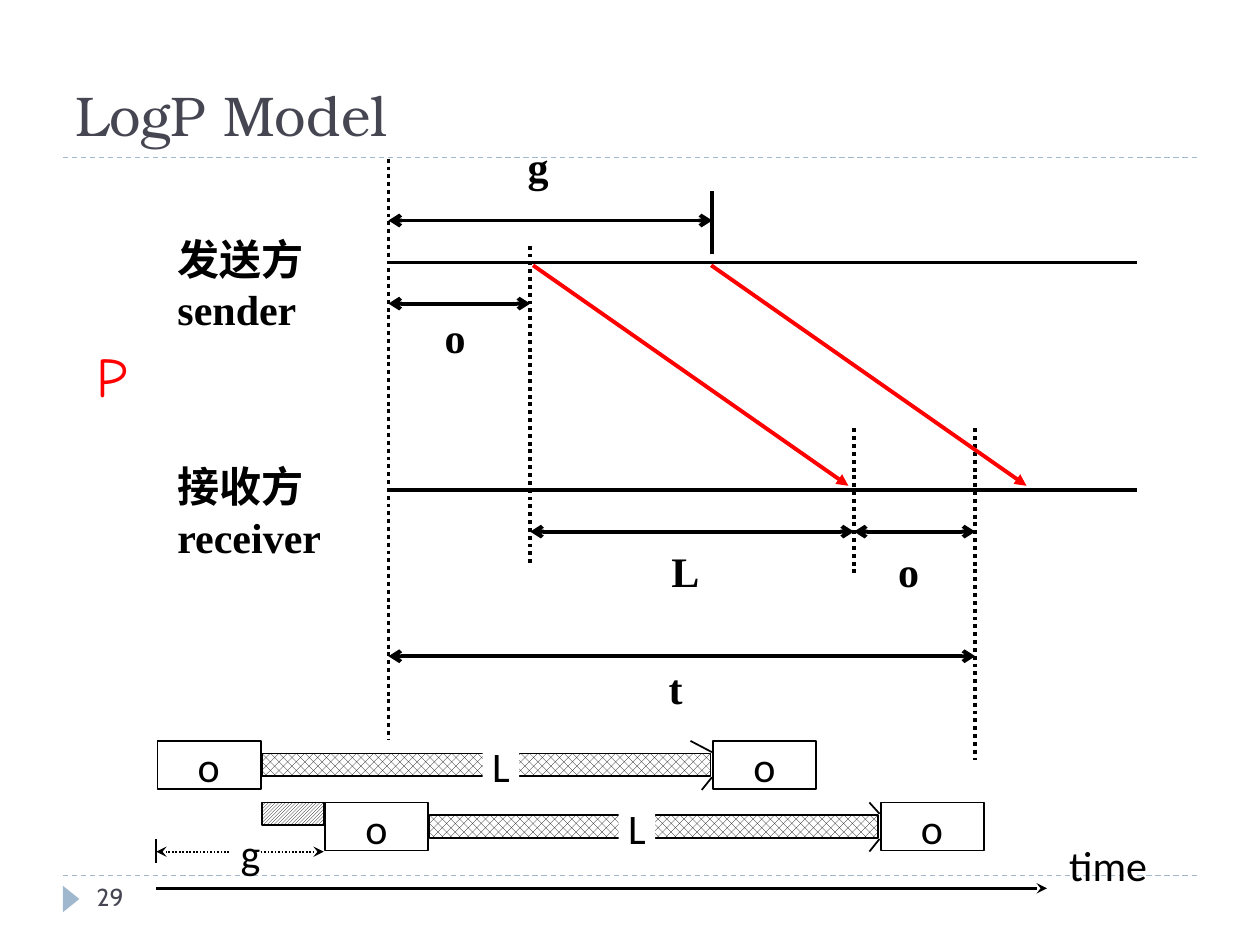
"""Builds the LogP model slide with its message timing diagram."""
from lxml import etree
from pptx import Presentation
from pptx.dml import color
from pptx.enum import dml, shapes, text
from pptx.oxml import ns
from pptx.util import Pt

INK, SLATE, ACCENT, RED, WHITE = "000000", "464653", "9FB8CD", "FF0000", "FFFFFF"
SERIF, SANS = "Times New Roman", "Calibri"
DOT, DASH = dml.MSO_LINE.ROUND_DOT, dml.MSO_LINE.DASH
LATTICE = dml.MSO_PATTERN.PERCENT_50
DIAGONAL = dml.MSO_PATTERN.LIGHT_UPWARD_DIAGONAL


def rgb(value):
    return color.RGBColor.from_string(value)


class Diagram:
    def __init__(self, slide):
        self.slide = slide

    def wording(self, frame, lines, size, face, ink, bold=False, align=None, before=0, spacing=None):
        for index, line in enumerate(lines):
            paragraph = frame.add_paragraph() if index else frame.paragraphs[0]
            paragraph.alignment = align
            paragraph.space_before = Pt(before)
            if spacing:
                paragraph.line_spacing = spacing
            run = paragraph.add_run()
            run.text = line
            run.font.size, run.font.name, run.font.bold = Pt(size), face, bold
            run.font.color.rgb = rgb(ink)

    def title(self, heading):
        title = self.slide.shapes.title
        title.left, title.top, title.width, title.height = Pt(36), Pt(-2), Pt(553), Pt(90)
        frame = title.text_frame
        frame.auto_size = text.MSO_AUTO_SIZE.NONE
        frame.vertical_anchor = text.MSO_ANCHOR.BOTTOM
        self.wording(frame, [heading], 32, "TeX Gyre Bonum", SLATE, align=text.PP_ALIGN.LEFT)

    def label(self, x, y, width, height, lines, size=24, face=SERIF, ink=INK, **style):
        label = self.slide.shapes.add_textbox(Pt(x), Pt(y), Pt(width), Pt(height))
        frame = label.text_frame
        frame.word_wrap = False
        frame.auto_size = text.MSO_AUTO_SIZE.SHAPE_TO_FIT_TEXT
        self.wording(frame, lines, size, face, ink, **style)
        return label

    def symbol(self, x, y, name, width=20.9, height=25.9, spacing=0.85, fill=None):
        symbol = self.label(x, y, width, height, [name], face=SANS, before=4.8,
                            align=text.PP_ALIGN.CENTER, spacing=spacing)
        frame = symbol.text_frame
        frame.margin_left = frame.margin_right = Pt(5)
        frame.margin_top = frame.margin_bottom = Pt(2.2)
        if fill:
            symbol.fill.solid()
            symbol.fill.fore_color.rgb = rgb(fill)

    def block(self, x, y, width, height, pattern=None):
        block = self.slide.shapes.add_shape(
            shapes.MSO_SHAPE.RECTANGLE, Pt(x), Pt(y), Pt(width), Pt(height))
        block.shadow.inherit = False
        if pattern is None:
            block.fill.background()
        else:
            block.fill.patterned()
            block.fill.pattern = pattern
            block.fill.fore_color.rgb, block.fill.back_color.rgb = rgb(INK), rgb(WHITE)
        block.line.color.rgb, block.line.width = rgb(INK), Pt(1)

    def marker(self, x, y, width, height):
        marker = self.slide.shapes.add_shape(
            shapes.MSO_SHAPE.ISOSCELES_TRIANGLE, Pt(x), Pt(y), Pt(width), Pt(height))
        marker.shadow.inherit = False
        marker.rotation = 90
        marker.fill.solid()
        marker.fill.fore_color.rgb = rgb(ACCENT)
        marker.line.fill.background()

    def line(self, x1, y1, x2, y2, ink=INK, width=2.25, dash=None, head=None, tail=None):
        line = self.slide.shapes.add_connector(
            shapes.MSO_CONNECTOR.STRAIGHT, Pt(x1), Pt(y1), Pt(x2), Pt(y2))
        line.line.color.rgb, line.line.width = rgb(ink), Pt(width)
        if dash:
            line.line.dash_style = dash
        properties = line.element.spPr
        for end, kind in (("a:headEnd", head), ("a:tailEnd", tail)):
            if kind:
                etree.SubElement(properties.find(ns.qn("a:ln")), ns.qn(end), type=kind)
        etree.SubElement(properties, ns.qn("a:effectLst"))

    def span(self, x1, x2, y):
        self.line(x1, y, x2, y, head="arrow", tail="arrow")

    def message(self, x, y, latency_x, barb):
        for overhead_x in (x, x + 317.5):
            self.block(overhead_x, y, 59, 27.4)
            self.symbol(overhead_x + 18, y + 2.2, "o")
        self.block(x + 59.7, y + 7.1, 256.3, 13, LATTICE)
        self.symbol(latency_x, y + 2.2, "L", fill=WHITE)
        tip = x + 316.8
        self.line(tip, y + 6.4, tip - barb, y, width=1)
        self.line(tip, y + 20.8, tip - 5.8, y + 28, width=1)


def main():
    deck = Presentation()
    deck.slide_width, deck.slide_height = Pt(720), Pt(540)
    diagram = Diagram(deck.slides.add_slide(deck.slide_layouts[5]))

    for rule_y in (500.4, 90):
        diagram.line(36, rule_y, 684, rule_y, ACCENT, 0.75, DASH)
    diagram.marker(33.1, 509, 15.1, 9.4)
    diagram.title("LogP Model")
    diagram.label(48.2, 500.4, 156, 28.8, ["29"], 14, "Cabin", SLATE).text_frame.word_wrap = True

    start, sent, gap_end, arrived, done, axis_end = 222, 303, 407, 488, 557.3, 650
    parties = ((150, ["发送方", "sender"], 87), (280, ["接收方", "receiver"], 97))
    for axis_y, names, width in parties:
        diagram.label(94.3, axis_y - 20.3, width, 65.5, names, bold=True)
        diagram.line(start, axis_y, axis_end, axis_y)
    guides = ((start, 90.7, 422.6), (sent, 140.4, 322.6),
              (arrived, 244.8, 327.6), (done, 244.8, 434.2))
    for x, top, bottom in guides:
        diagram.line(x, top, x, bottom, dash=DOT)
    diagram.line(gap_end, 109.4, gap_end, 145.4)

    intervals = ((start, gap_end, 126, "g", 294.5, 77, 31.7),
                 (start, sent, 173.5, "o", 247, 174.2, 31.7),
                 (sent, arrived, 303.8, "L", 376.6, 308.2, 36.7),
                 (arrived, done, 303.8, "o", 506.2, 308.2, 31.7),
                 (start, done, 375, "t", 375, 375, 27.4))
    for x1, x2, y, name, name_x, name_y, width in intervals:
        diagram.span(x1, x2, y)
        diagram.label(name_x, name_y, width, 44.6, [name], bold=True)
    for x in (304.6, 406.4):
        diagram.line(x, 151.6, x + 180.2, 277.6, RED, tail="triangle")
    diagram.label(48.2, 191.5, 31.7, 46, ["P"], 32, "Comic Neue", RED,
                  align=text.PP_ALIGN.CENTER, before=6.4)

    diagram.message(90, 423.4, 275.8, 12.2)
    diagram.message(185.8, 458.6, 353.5, 5.8)
    diagram.block(149.8, 458.6, 35.3, 13, DIAGONAL)
    diagram.symbol(132.5, 475.2, "g")
    for x1, x2 in ((149, 185), (131, 89.3)):
        diagram.line(x1, 486.7, x2, 486.7, width=1, dash=DOT, tail="stealth")
    diagram.line(89.3, 493.2, 89.3, 479.5, width=1)
    diagram.line(89.3, 507.6, 598.3, 507.6, width=2, tail="stealth")
    diagram.symbol(605.5, 481.7, "time", 55.4, 33.8, 0.87)
    deck.save("out.pptx")


if __name__ == "__main__":
    main()
